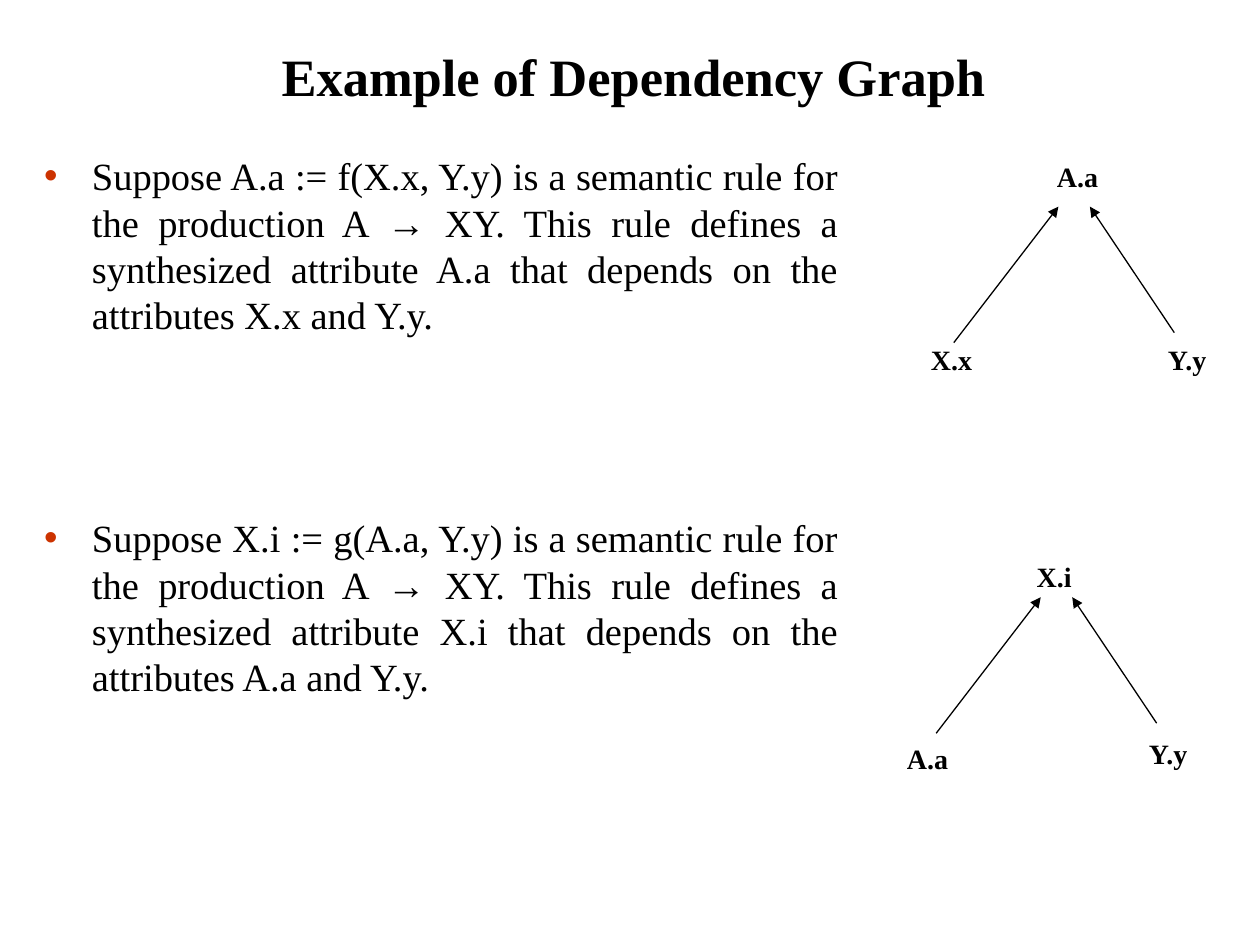
from lxml.etree import SubElement
from pptx import Presentation
from pptx.dml.color import RGBColor
from pptx.enum.shapes import MSO_CONNECTOR
from pptx.enum.text import MSO_ANCHOR, MSO_AUTO_SIZE, PP_ALIGN
from pptx.oxml.ns import qn
from pptx.util import Inches, Pt

COLORS = {"background": "FFFFFF", "ink": "000000", "bullet": "CC3300"}
SERIF = "Times New Roman"
ARROWS = [((0.28, 1.5), (1.11, 0.42)), ((2.03, 1.42), (1.36, 0.42))]
RULES = [
    ("Suppose A.a := f(X.x, Y.y) is a semantic rule for the production A ",
     " XY. This rule defines a synthesized attribute A.a that depends on the attributes X.x and Y.y."),
    ("Suppose X.i := g(A.a, Y.y) is a semantic rule for the production A ",
     " XY. This rule defines a synthesized attribute X.i that depends on the attributes A.a and Y.y."),
]


def color(name):
    return RGBColor.from_string(COLORS[name])


def style(span, size, bold=False, font=SERIF):
    span.font.name = font
    span.font.size = Pt(size)
    span.font.bold = bold
    span.font.color.rgb = color("ink")


def place(box, left, top, width, height):
    box.left, box.top = Inches(left), Inches(top)
    box.width, box.height = Inches(width), Inches(height)


def add_title(page, left, top, width, height):
    title = page.shapes.title
    place(title, left, top, width, height)
    frame = title.text_frame
    frame.text = "Example of Dependency Graph"
    frame.vertical_anchor = MSO_ANCHOR.MIDDLE
    para = frame.paragraphs[0]
    para.alignment = PP_ALIGN.CENTER
    style(para.runs[0], 30, bold=True)


def format_bullet(para):
    """Hanging indent and a coloured bullet."""
    properties = para._p.get_or_add_pPr()
    properties.set("marL", str(Inches(0.38)))
    properties.set("indent", str(-Inches(0.38)))
    bullet_color = SubElement(properties, qn("a:buClr"))
    SubElement(bullet_color, qn("a:srgbClr"), val=COLORS["bullet"])
    SubElement(properties, qn("a:buChar"), char="•")


def add_rules(page, left, top, width, height):
    body = page.placeholders[1]
    place(body, left, top, width, height)
    frame = body.text_frame
    frame.auto_size = MSO_AUTO_SIZE.NONE
    for index, (before, after) in enumerate(RULES):
        para = frame.add_paragraph() if index else frame.paragraphs[0]
        para.alignment = PP_ALIGN.JUSTIFY
        para.line_spacing = Pt(26.4)
        para.space_before = Pt(101.3 if index else 0)
        format_bullet(para)
        for text, font in ((before, SERIF), ("→", "Arial"), (after, SERIF)):
            span = para.add_run()
            span.text = text
            style(span, 22, font=font)


def add_arrow(page, start, end):
    arrow = page.shapes.add_connector(
        MSO_CONNECTOR.STRAIGHT, *map(Inches, (*start, *end)))
    arrow.line.color.rgb = color("ink")
    arrow.line.width = Pt(0.75)
    SubElement(arrow.line._get_or_add_ln(), qn("a:tailEnd"), type="triangle")
    SubElement(arrow._element.spPr, qn("a:effectLst"))


def add_label(page, text, left, top):
    box = page.shapes.add_textbox(*map(Inches, (left, top, 0.56, 0.37)))
    frame = box.text_frame
    frame.word_wrap = False
    frame.auto_size = MSO_AUTO_SIZE.NONE
    frame.text = text
    para = frame.paragraphs[0]
    para.alignment = PP_ALIGN.LEFT
    style(para.runs[0], 16, bold=True)


def add_dependency_graph(page, left, top, labels):
    """Two arrows rising to a root; labels are (text, x, y) from the corner."""
    for ends in ARROWS:
        add_arrow(page, *[(left + x, top + y) for x, y in ends])
    for text, x, y in labels:
        add_label(page, text, left + x, top + y)


def main():
    deck = Presentation()
    deck.slide_width, deck.slide_height = Inches(10), Inches(7.5)
    page = deck.slides.add_slide(deck.slide_layouts[1])
    page.background.fill.solid()
    page.background.fill.fore_color.rgb = color("background")
    add_title(page, 0.33, 0.25, 9.4, 0.7)
    add_rules(page, 0.25, 1.16, 6.5, 6.17)
    add_dependency_graph(page, 7.29, 1.22, [
        ("A.a", 1, 0), ("X.x", 0, 1.45), ("Y.y", 1.88, 1.45)])
    add_dependency_graph(page, 7.15, 4.32, [
        ("X.i", 0.98, 0.07), ("A.a", -0.05, 1.52), ("Y.y", 1.87, 1.48)])
    deck.save("out.pptx")


if __name__ == "__main__":
    main()
